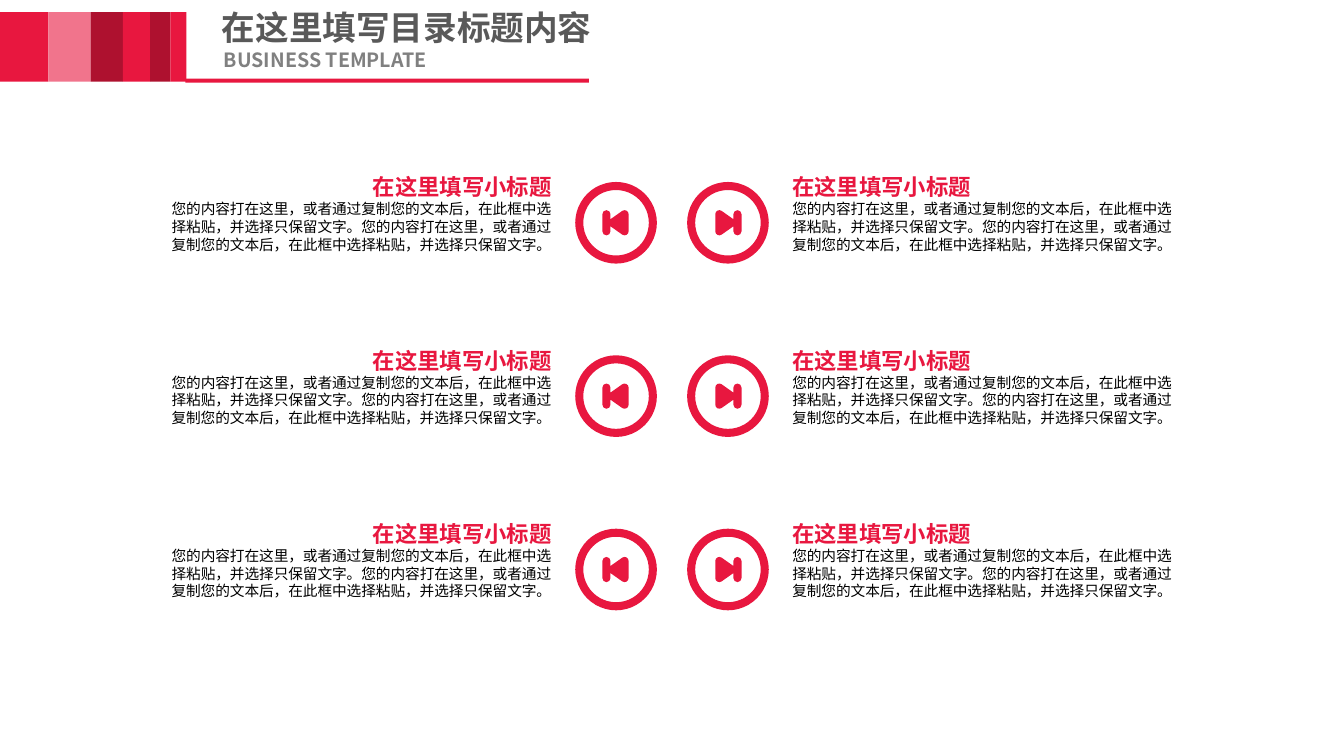
"""Builds a contents slide with six captioned skip icons in two mirrored columns."""
import math

from lxml import etree
from pptx import Presentation
from pptx.dml.color import RGBColor
from pptx.enum import shapes, text
from pptx.oxml import ns
from pptx.util import Inches, Pt

COLORS = {"red": "E8173F", "pink": "F1748C", "dark": "AE112F",
          "title": "595959", "subtitle": "808080", "body": "000000"}
FONT = "Noto Sans CJK SC"
SENTENCE = "您的内容打在这里，或者通过复制您的文本后，在此框中选择粘贴，并选择只保留文字。"


def write(paragraph, words, size=10.5, color="body", bold=False,
          align=text.PP_ALIGN.LEFT, spacing=1.0):
    paragraph.alignment = align
    paragraph.line_spacing = spacing
    paragraph.space_before = Pt(0)
    run = paragraph.add_run()
    run.text = words
    run.font.size = Pt(size)
    run.font.bold = bold
    run.font.color.rgb = RGBColor.from_string(COLORS[color])
    run.font.name = FONT
    east_asian = etree.SubElement(run._r.get_or_add_rPr(), ns.qn("a:ea"))
    east_asian.set("typeface", FONT)


def paint(shape, color):
    shape.shadow.inherit = False
    shape.fill.solid()
    shape.fill.fore_color.rgb = RGBColor.from_string(COLORS[color])
    shape.line.fill.background()


deck = Presentation()
deck.slide_width, deck.slide_height = Inches(13.33), Inches(7.5)
slide = deck.slides.add_slide(deck.slide_layouts[5])

stripes = [(0, 0.48, "red"), (0.48, 0.42, "pink"), (0.9, 0.32, "dark"),
           (1.22, 0.27, "red"), (1.49, 0.2, "dark"), (1.69, 0.16, "red")]
bars = [(left, 0.12, width, 0.69, color) for left, width, color in stripes]
for left, top, width, height, color in bars + [(1.84, 0.78, 4, 0.04, "red")]:
    bar = slide.shapes.add_shape(shapes.MSO_SHAPE.RECTANGLE, Inches(left),
                                 Inches(top), Inches(width), Inches(height))
    paint(bar, color)

title = slide.shapes.title
title.left, title.top = Inches(2.2), Inches(0.12)
title.width, title.height = Inches(4.86), Inches(0.34)
subtitle = slide.shapes.add_textbox(Inches(2.22), Inches(0.5), Inches(2.84), Inches(0.22))
headings = [(title, "在这里填写目录标题内容", 24, "title"),
            (subtitle, "BUSINESS TEMPLATE", 14, "subtitle")]
for heading, words, size, color in headings:
    frame = heading.text_frame
    frame.word_wrap = True
    frame.auto_size = text.MSO_AUTO_SIZE.NONE
    frame.vertical_anchor = text.MSO_ANCHOR.MIDDLE
    frame.margin_left = frame.margin_right = frame.margin_top = frame.margin_bottom = 0
    write(frame.paragraphs[0], words, size=size, color=color, bold=True, spacing=0.9)

RING_SIZE = 0.81
RING_THICKNESS = 0.08
ROUNDING = 0.04
ARC_STEPS = 4
bar_top = [(-0.095, -0.085, 180, 360)]
arrow_corners = [(0.085, -0.085, 235, 360), (0.085, 0.085, 0, 125)]
bar_bottom = [(-0.095, 0.085, 0, 180)]
mark_points = []
for arcs, notch in ((bar_top, [(-0.055, -0.035)]), (arrow_corners, [(-0.055, 0.035)]),
                    (bar_bottom, [])):
    for x, y, start, end in arcs:
        for step in range(ARC_STEPS + 1):
            angle = math.radians(start + (end - start) * step / ARC_STEPS)
            mark_points.append((x + ROUNDING * math.cos(angle),
                                y + ROUNDING * math.sin(angle)))
    mark_points += notch

columns = [(6.11, 1, 1.46, text.PP_ALIGN.RIGHT), (7.22, -1, 7.76, text.PP_ALIGN.LEFT)]
for row in range(3):
    offset = row * 1.72
    center_y = 2.21 + offset
    for center_x, direction, caption_left, align in columns:
        ring = slide.shapes.add_shape(
            shapes.MSO_SHAPE.DONUT, Inches(center_x - RING_SIZE / 2),
            Inches(center_y - RING_SIZE / 2), Inches(RING_SIZE), Inches(RING_SIZE))
        ring.adjustments[0] = RING_THICKNESS / RING_SIZE
        paint(ring, "red")

        outline = [(Inches(center_x + direction * x), Inches(center_y + y))
                   for x, y in mark_points]
        builder = slide.shapes.build_freeform(*outline[0])
        builder.add_line_segments(outline[1:], close=True)
        paint(builder.convert_to_shape(), "red")

        caption = slide.shapes.add_textbox(Inches(caption_left), Inches(1.67 + offset),
                                           Inches(4.11), Inches(0.9)).text_frame
        caption.word_wrap = True
        caption.auto_size = text.MSO_AUTO_SIZE.SHAPE_TO_FIT_TEXT
        write(caption.paragraphs[0], "在这里填写小标题", size=16, color="red",
              bold=True, align=align)
        write(caption.add_paragraph(), SENTENCE * 2, align=align)

deck.save("out.pptx")
